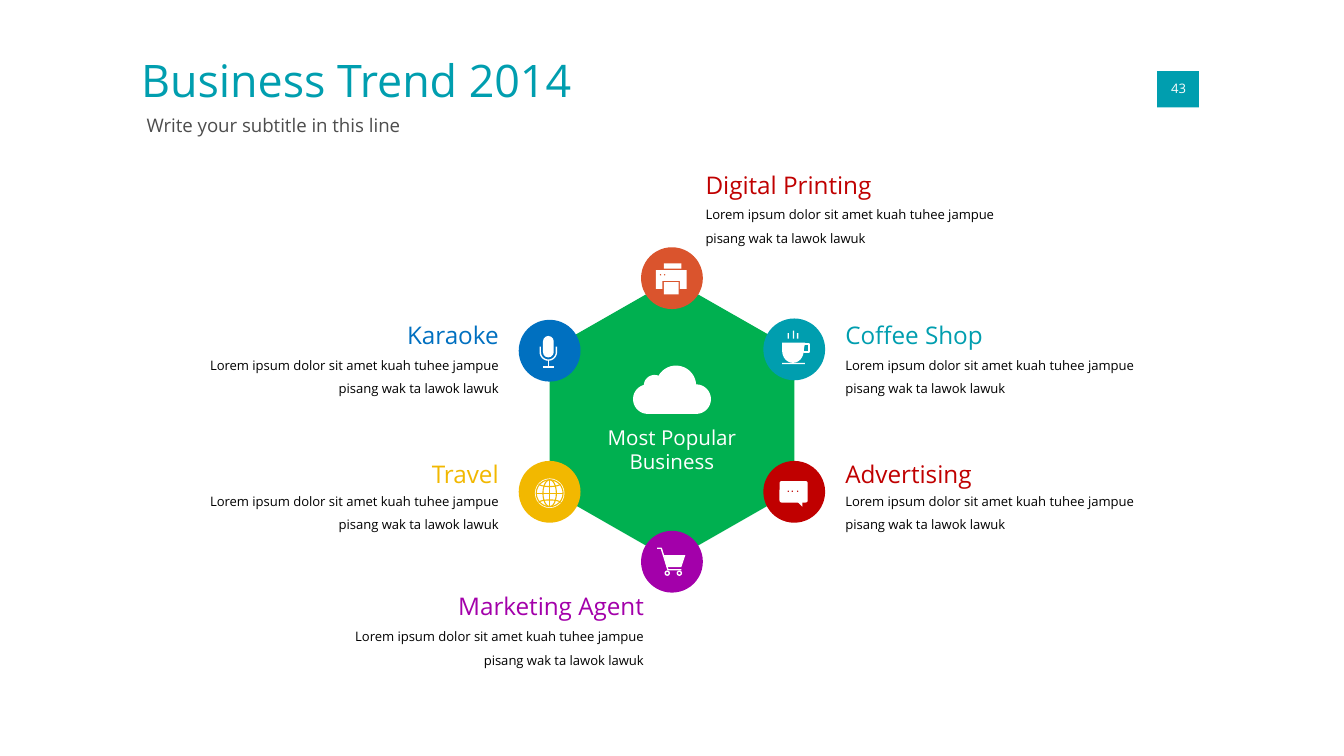
from dataclasses import dataclass
from math import cos, radians, sin
from typing import Callable

from lxml.etree import SubElement
from pptx import Presentation
from pptx.dml.color import RGBColor
from pptx.enum.shapes import MSO_CONNECTOR, MSO_SHAPE
from pptx.enum.text import MSO_ANCHOR, PP_ALIGN
from pptx.oxml.ns import qn
from pptx.util import Inches, Pt

FONT = "Open Sans"
BODY = "Lorem ipsum dolor sit amet kuah tuhee jampue pisang wak ta lawok lawuk"
COLORS = {
    "teal": "009EAF", "red": "C00000", "purple": "A300AA", "yellow": "F2B800",
    "blue": "0070C0", "orange": "DA542D", "green": "00B050", "white": "FFFFFF",
    "gray": "4D4D4D", "black": "000000",
}
RECT, OVAL, ROUND = MSO_SHAPE.RECTANGLE, MSO_SHAPE.OVAL, MSO_SHAPE.ROUNDED_RECTANGLE
Points = list[tuple[float, float]]


def rgb(name: str) -> RGBColor:
    return RGBColor.from_string(COLORS[name])


def paint(sp, fill: str | None = None, line: str | None = None, width: float = 0.75) -> None:
    sp.shadow.inherit = False
    if fill:
        sp.fill.solid()
        sp.fill.fore_color.rgb = rgb(fill)
    else:
        sp.fill.background()
    if line:
        sp.line.color.rgb = rgb(line)
        sp.line.width = Pt(width)
    else:
        sp.line.fill.background()


def add_preset(parent, kind, x, y, w, h, fill="white", line=None, width=0.75):
    sp = parent.add_shape(kind, Inches(x), Inches(y), Inches(w), Inches(h))
    paint(sp, fill, line, width)
    return sp


def add_outline(parent, points: Points, fill="white", line=None, width=0.75) -> None:
    """Closed when filled, an open stroke otherwise."""
    pts = [(Inches(x), Inches(y)) for x, y in points]
    builder = parent.build_freeform(*pts[0])
    builder.add_line_segments(pts[1:], close=fill is not None)
    paint(builder.convert_to_shape(), fill, line, width)


def add_line(parent, x1, y1, x2, y2, color="white", width=0.75) -> None:
    cn = parent.add_connector(MSO_CONNECTOR.STRAIGHT, Inches(x1), Inches(y1),
                              Inches(x2), Inches(y2))
    cn.line.color.rgb = rgb(color)
    cn.line.width = Pt(width)
    SubElement(cn._element.spPr, qn("a:effectLst"))


def arc(cx, cy, rx, ry, start, end, steps=16) -> Points:
    angles = [radians(start + (end - start) * i / steps) for i in range(steps + 1)]
    return [(cx + rx * cos(a), cy + ry * sin(a)) for a in angles]


def add_text(parent, text, x, y, w, h, *, size, color, align=PP_ALIGN.LEFT,
             inset=0.0, spacing=None, anchor=MSO_ANCHOR.TOP, wrap=True) -> None:
    tf = parent.add_textbox(Inches(x), Inches(y), Inches(w), Inches(h)).text_frame
    tf.word_wrap = wrap
    tf.vertical_anchor = anchor
    tf.margin_left = tf.margin_right = tf.margin_top = tf.margin_bottom = Inches(inset)
    for i, content in enumerate(text.split("\n")):
        p = tf.add_paragraph() if i else tf.paragraphs[0]
        p.alignment = align
        if spacing:
            p.line_spacing = spacing
        r = p.add_run()
        r.text = content
        r.font.name, r.font.size = FONT, Pt(size)
        r.font.color.rgb = rgb(color)


# Icons, each drawn around the centre (cx, cy) of its disc
def printer(g, cx, cy, back) -> None:
    add_preset(g, RECT, cx - 0.06, cy - 0.11, 0.13, 0.04)
    add_outline(g, [(cx + dx, cy + dy) for dx, dy in (
        (-0.12, -0.06), (0.11, -0.06), (0.11, 0.08), (0.06, 0.08),
        (0.06, 0.02), (-0.07, 0.02), (-0.07, 0.08), (-0.12, 0.08))])
    add_preset(g, RECT, cx - 0.06, cy + 0.03, 0.11, 0.09)
    for dx in (-0.08, -0.05):
        add_preset(g, OVAL, cx + dx - 0.01, cy - 0.03, 0.01, 0.01, back)


def cup(g, cx, cy, back) -> None:
    add_outline(g, [(cx - 0.09, cy - 0.05), (cx + 0.08, cy - 0.05)]
                + arc(cx - 0.01, cy + 0.01, 0.08, 0.09, 0, 180))
    add_preset(g, RECT, cx + 0.07, cy - 0.04, 0.04, 0.06, None, "white")
    add_preset(g, RECT, cx - 0.09, cy + 0.1, 0.17, 0.01)
    for dx, top, height in ((-0.05, -0.12, 0.04), (-0.01, -0.14, 0.06), (0.02, -0.12, 0.04)):
        add_preset(g, RECT, cx + dx, cy + top, 0.01, height)


def chat(g, cx, cy, back) -> None:
    add_preset(g, ROUND, cx - 0.11, cy - 0.08, 0.21, 0.16).adjustments[0] = 0.1
    add_outline(g, [(cx + 0.02, cy + 0.07), (cx + 0.06, cy + 0.07), (cx + 0.06, cy + 0.11)])
    for dx in (-0.05, -0.02, 0.02):
        add_preset(g, OVAL, cx + dx, cy - 0.01, 0.01, 0.01, back)


def cart(g, cx, cy, back) -> None:
    add_outline(g, [(cx - 0.06, cy - 0.05), (cx + 0.1, cy - 0.05),
                    (cx + 0.07, cy + 0.04), (cx - 0.04, cy + 0.04)])
    add_outline(g, [(cx - 0.11, cy - 0.1), (cx - 0.08, cy - 0.1), (cx - 0.03, cy + 0.06),
                    (cx + 0.07, cy + 0.06)], None, "white")
    for dx in (-0.05, 0.04):
        add_preset(g, OVAL, cx + dx, cy + 0.07, 0.03, 0.03, back, "white")


def globe(g, cx, cy, back) -> None:
    cy += 0.01
    add_preset(g, OVAL, cx - 0.11, cy - 0.11, 0.22, 0.22)
    for rx in (0.1, 0.05):
        add_preset(g, OVAL, cx - rx, cy - 0.1, 2 * rx, 0.2, None, back, 0.6)
    add_line(g, cx, cy - 0.1, cx, cy + 0.1, back, 0.6)
    add_line(g, cx - 0.1, cy, cx + 0.1, cy, back, 0.6)
    for side in (-1, 1):
        add_outline(g, arc(cx, cy + side * 0.07, 0.08, -side * 0.02, 0, 180),
                    None, back, 0.6)


def microphone(g, cx, cy, back) -> None:
    cx -= 0.01
    add_preset(g, ROUND, cx - 0.04, cy - 0.11, 0.08, 0.16).adjustments[0] = 0.5
    add_outline(g, [(cx + 0.06, cy - 0.03)] + arc(cx, cy + 0.01, 0.06, 0.06, 0, 180)
                + [(cx - 0.06, cy - 0.03)], None, "white")
    add_line(g, cx, cy + 0.07, cx, cy + 0.12)
    add_line(g, cx - 0.04, cy + 0.12, cx + 0.04, cy + 0.12)


@dataclass
class Topic:
    title: str
    color: str
    center: tuple[float, float]
    icon: Callable
    left: float
    title_top: float
    body_top: float
    align: PP_ALIGN = PP_ALIGN.LEFT
    title_color: str | None = None


RIGHT = PP_ALIGN.RIGHT
TOPICS = [
    Topic("Digital Printing", "orange", (5, 2.07), printer, 5.23, 1.25, 1.46,
          title_color="red"),
    Topic("Coffee Shop", "teal", (5.91, 2.6), cup, 6.27, 2.36, 2.58),
    Topic("Advertising", "red", (5.91, 3.66), chat, 6.27, 3.4, 3.59),
    Topic("Marketing Agent", "purple", (5, 4.18), cart, 2.61, 4.38, 4.6, RIGHT),
    Topic("Travel", "yellow", (4.09, 3.66), globe, 1.53, 3.4, 3.59, RIGHT),
    Topic("Karaoke", "blue", (4.09, 2.61), microphone, 1.53, 2.36, 2.58, RIGHT),
]


def draw_topic(shapes, t: Topic) -> None:
    g = shapes.add_group_shape().shapes
    cx, cy = t.center
    add_preset(g, OVAL, cx - 0.23, cy - 0.23, 0.46, 0.46, t.color)
    t.icon(g, cx, cy, t.color)
    add_text(shapes, BODY, t.left, t.body_top, 2.2, 0.32, size=7, color="black",
             align=t.align, inset=0.02, spacing=1.5)
    add_text(shapes, t.title, t.left, t.title_top, 2.2, 0.27, size=13,
             color=t.title_color or t.color, align=t.align, inset=0.02)


def main() -> None:
    prs = Presentation()
    prs.slide_width, prs.slide_height = Inches(10), Inches(10 * 9 / 16)
    s = prs.slides.add_slide(prs.slide_layouts[6]).shapes

    # Heading and page number
    add_text(s, "Business Trend 2014", 1.05, 0.39, 4.76, 0.49, size=24, color="teal")
    add_preset(s, RECT, 8.61, 0.53, 0.31, 0.27, "teal")
    add_text(s, "43", 8.69, 0.6, 0.16, 0.12, size=7, color="white",
             align=PP_ALIGN.CENTER, anchor=MSO_ANCHOR.MIDDLE, wrap=False)
    add_text(s, "Write your subtitle in this line", 1.09, 0.85, 6.91, 0.23,
             size=10, color="gray")

    # Hexagon with cloud and caption
    add_outline(s, [(5, 2.08), (5.91, 2.6), (5.91, 3.65), (5, 4.17), (4.09, 3.65),
                    (4.09, 2.6)], "green")
    add_outline(s, arc(5.18, 2.97, 0.11, 0.11, 90, -90) + arc(5.03, 2.87, 0.15, 0.15, 0, -152)
                + arc(4.87, 2.87, 0.08, 0.08, -65, -175) + arc(4.82, 2.97, 0.11, 0.11, -105, -270))
    add_text(s, "Most Popular\nBusiness", 4.1, 3.16, 1.8, 0.44, size=11, color="white",
             align=PP_ALIGN.CENTER)

    # Topics around the hexagon
    for topic in TOPICS:
        draw_topic(s, topic)
    prs.save("out.pptx")


if __name__ == "__main__":
    main()
